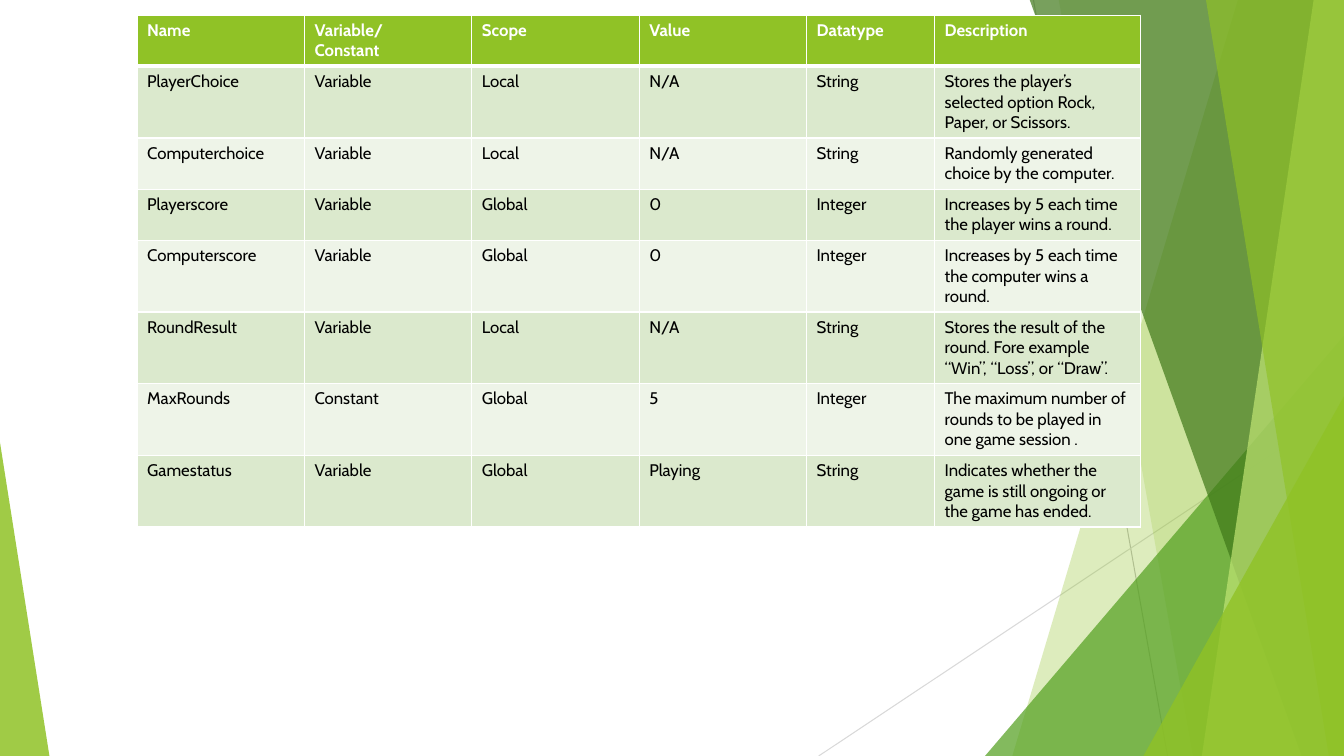
from lxml.etree import SubElement
from pptx import Presentation
from pptx.dml.color import RGBColor
from pptx.enum.shapes import MSO_CONNECTOR, MSO_SHAPE
from pptx.oxml.ns import qn
from pptx.util import Inches, Pt

COLORS = {
    "white": "FFFFFF", "black": "000000", "lime": "90C226", "green": "54A021",
    "forest": "3F7819", "pale": "C0E474", "odd_row": "DBE9CD", "even_row": "EEF4E8",
    "gray": "BFBFBF", "light_gray": "D9D9D9",
}
WIDTH, HEIGHT = 13.33, 7.5


def rgb(name):
    return RGBColor.from_string(COLORS[name])


def write(tf, text, size=12, color="black", bold=False, font="Cabin"):
    for i, line in enumerate(text.split("\n")):
        p = tf.add_paragraph() if i else tf.paragraphs[0]
        r = p.add_run()
        r.text = line
        r.font.name, r.font.size, r.font.bold = font, Pt(size), bold
        r.font.color.rgb = rgb(color)


prs = Presentation()
prs.slide_width, prs.slide_height = Inches(WIDTH), Inches(HEIGHT)
slide = prs.slides.add_slide(prs.slide_layouts[6])

# Thin lines behind the facets
for x1, y1, x2, y2, color in [
    (10.25, 0, 11.58, HEIGHT, "gray"),
    (WIDTH, 4.03, 8.12, HEIGHT, "light_gray"),
]:
    line = slide.shapes.add_connector(
        MSO_CONNECTOR.STRAIGHT, Inches(x1), Inches(y1), Inches(x2), Inches(y2))
    line.line.color.rgb = rgb(color)
    line.line.width = Pt(0.75)
    SubElement(line.element.spPr, qn("a:effectLst"))

# Facets, back to front: a band has its top-left and bottom-left x and runs to
# the right edge; a triangle has left, top, width and apex, and stands on the bottom
facets = [
    ("band", (12.28, 10.04), "lime", 30),
    ("band", (10.5, 11.83), "lime", 20),
    ("triangle", (9.77, 3.33, 3.56, 1), "green", 72),
    ("band", (10.21, 12.91), "forest", 70),
    ("band", (13.03, 11.92), "pale", 70),
    ("band", (11.96, 13.18), "lime", 65),
    ("triangle", (11.34, 3.93, 1.99, 1), "lime", 80),
    ("triangle", (0, 4.39, 0.49, 0), "lime", 85),
]
for kind, geometry, color, opacity in facets:
    if kind == "band":
        top_x, bottom_x = geometry
        builder = slide.shapes.build_freeform(Inches(top_x), Inches(-0.01))
        corners = [(WIDTH, -0.01), (WIDTH, HEIGHT), (bottom_x, HEIGHT)]
        builder.add_line_segments([(Inches(x), Inches(y)) for x, y in corners], close=True)
        s = builder.convert_to_shape()
    else:
        left, top, width, apex = geometry
        s = slide.shapes.add_shape(
            MSO_SHAPE.ISOSCELES_TRIANGLE, Inches(left), Inches(top),
            Inches(width), Inches(HEIGHT - top))
        s.adjustments[0] = apex
    s.shadow.inherit = False
    s.line.fill.background()
    s.fill.solid()
    s.fill.fore_color.rgb = rgb(color)
    fill_color = s.element.spPr.find(qn("a:solidFill")).find(qn("a:srgbClr"))
    SubElement(fill_color, qn("a:alpha"), val=str(opacity * 1000))

# Table of variables
rows = [
    ("Name", "Variable/\nConstant", "Scope", "Value", "Datatype", "Description"),
    ("PlayerChoice", "Variable", "Local", "N/A", "String",
     "Stores the player’s selected option Rock, Paper, or Scissors."),
    ("Computerchoice", "Variable", "Local", "N/A", "String",
     "Randomly generated choice by the computer."),
    ("Playerscore", "Variable", "Global", "0", "Integer",
     "Increases by 5 each time the player wins a round."),
    ("Computerscore", "Variable", "Global", "0", "Integer",
     "Increases by 5 each time the computer wins a round."),
    ("RoundResult", "Variable", "Local", "N/A", "String",
     "Stores the result of the round. Fore example “Win”, “Loss”, or “Draw”."),
    ("MaxRounds", "Constant", "Global", "5", "Integer",
     "The maximum number of rounds to be played in one game session ."),
    ("Gamestatus", "Variable", "Global", "Playing", "String",
     "Indicates whether the game is still ongoing or the game has ended."),
]
col_widths = [1.66] * 4 + [1.27, 2.04]
row_heights = [0.41] * 3 + [0.5, 0.41] + [0.45] * 3
table = slide.shapes.add_table(
    len(rows), len(col_widths), Inches(1.36), Inches(0.15),
    Inches(sum(col_widths)), Inches(sum(row_heights))).table
for column, width in zip(table.columns, col_widths):
    column.width = Inches(width)
for row, height in zip(table.rows, row_heights):
    row.height = Inches(height)

for i, texts in enumerate(rows):
    header = i == 0
    fill = "lime" if header else "odd_row" if i % 2 else "even_row"
    for j, text in enumerate(texts):
        cell = table.cell(i, j)
        write(cell.text_frame, text, color="white" if header else "black", bold=header)
        tc_pr = cell._tc.get_or_add_tcPr()
        for side in ("lnL", "lnR", "lnT", "lnB"):
            thick = (i, side) in [(0, "lnB"), (1, "lnT")]
            border = SubElement(tc_pr, qn(f"a:{side}"), w=str(Pt(3 if thick else 1)))
            SubElement(SubElement(border, qn("a:solidFill")), qn("a:srgbClr"),
                       val=COLORS["white"])
        cell.fill.solid()
        cell.fill.fore_color.rgb = rgb(fill)

prs.save("out.pptx")
